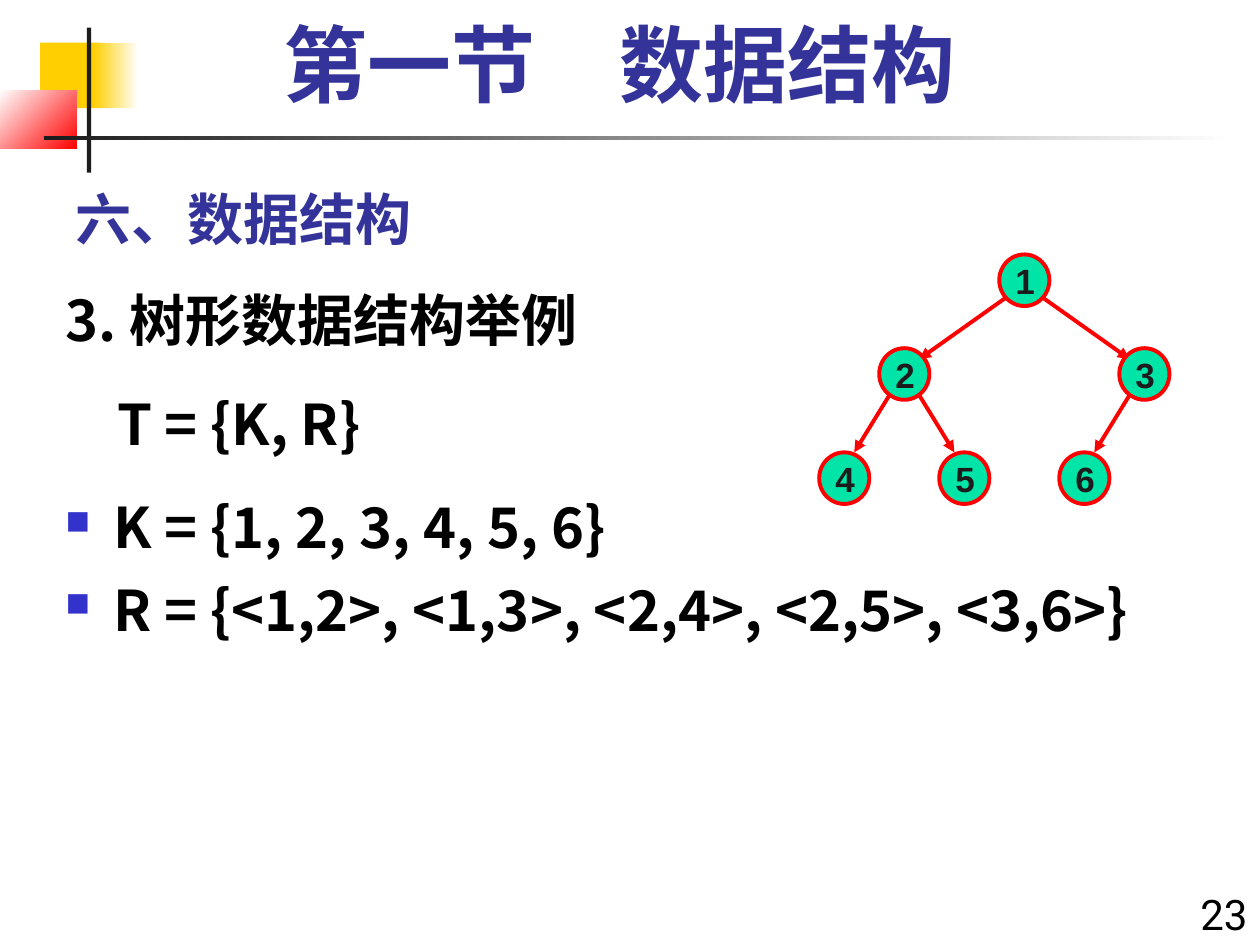
from typing import NamedTuple, Optional

from pptx import Presentation
from pptx.dml.color import RGBColor
from pptx.enum.shapes import MSO_CONNECTOR as Link, MSO_SHAPE as Shape
from pptx.enum.text import MSO_ANCHOR as Anchor, PP_ALIGN as Align
from pptx.oxml.ns import qn
from pptx.oxml.xmlchemy import OxmlElement as Element
from pptx.util import Cm, Pt

GOLD = RGBColor(0xFF, 0xCF, 0x01)
WHITE = RGBColor(0xFF, 0xFF, 0xFF)
RED = RGBColor(0xFF, 0x00, 0x00)
DARK = RGBColor(0x1C, 0x1C, 0x1C)
BLACK = RGBColor(0x00, 0x00, 0x00)
NAVY = RGBColor(0x33, 0x33, 0x99)
BLUE = RGBColor(0x33, 0x33, 0xCC)
GREEN = RGBColor(0x00, 0xE4, 0xA8)
HAN = "Noto Sans CJK SC"


class Bar(NamedTuple):
    left: float
    top: float
    width: float
    height: float
    start: RGBColor
    end: Optional[RGBColor] = None
    angle: int = 0


class Style(NamedTuple):
    font: str
    size: int
    color: RGBColor
    bold: bool = True


class Line(NamedTuple):
    text: str
    before: float = 0
    after: float = 0
    left: float = 0.97
    first: float = -0.97
    bullet: bool = False


class Node(NamedTuple):
    col: int
    row: int


class Reach(NamedTuple):
    """Offsets of an edge's ends from the two node centres."""
    out_x: float
    out_y: float
    in_x: float
    in_y: float


BARS = [
    Bar(0.81, 0.86, 1.22, 1.32, GOLD),
    Bar(1.88, 0.86, 0.91, 1.32, GOLD, WHITE),
    Bar(0, 1.83, 1.55, 1.17, WHITE, RED, 315),
    Bar(1.75, 0.56, 0.09, 2.92, DARK),
    Bar(0.89, 2.74, 24, 0.09, DARK, WHITE),
]
LINES = [
    Line("3. 树形数据结构举例"),
    Line("T = {K, R}", before=21, after=12, left=1.04, first=0),
    Line("K = {1, 2, 3, 4, 5, 6}", before=8.5, bullet=True),
    Line("R = {<1,2>, <1,3>, <2,4>, <2,5>, <3,6>}", before=8.5, bullet=True),
]

# Tree: nodes on a grid of equal columns, edges by node number
NODES = {1: Node(3, 0), 2: Node(1, 1), 3: Node(5, 1),
         4: Node(0, 2), 5: Node(2, 2), 6: Node(4, 2)}
EDGES = [(1, 3), (1, 2), (2, 5), (3, 6), (2, 4)]
REACH = [Reach(0.3, 0.3, 0.3, 0.3), Reach(0.1, 0.1, 0.2, 0.52)]
LEFT, STEP = 17.02, 1.21
ROWS = [5.65, 7.54, 9.64]
WIDE, HIGH = 1.01, 1.04


def spot(node: Node) -> tuple[float, float]:
    return LEFT + STEP * node.col, ROWS[node.row]


def draw_bar(shapes, bar: Bar) -> None:
    rect = shapes.add_shape(Shape.RECTANGLE, Cm(bar.left), Cm(bar.top),
                            Cm(bar.width), Cm(bar.height))
    rect.shadow.inherit = False
    rect.line.fill.background()
    if bar.end is None:
        rect.fill.solid()
        rect.fill.fore_color.rgb = bar.start
        return
    rect.fill.gradient()
    rect.fill.gradient_angle = bar.angle
    for stop, color in zip(rect.fill.gradient_stops, (bar.start, bar.end)):
        stop.color.rgb = color


def style_text(para, style: Style) -> None:
    for run in para.runs:
        font = run.font
        font.name, font.size, font.bold = style.font, Pt(style.size), style.bold
        font.color.rgb = style.color
        east = Element("a:ea")
        east.set("typeface", HAN)
        font._element.find(qn("a:latin")).addnext(east)


def add_text(shapes, area: tuple, text: str, style: Style, align=Align.LEFT,
             anchor=Anchor.TOP):
    frame = shapes.add_textbox(*map(Cm, area)).text_frame
    frame.word_wrap = True
    frame.vertical_anchor = anchor
    frame.text = text
    para = frame.paragraphs[0]
    para.alignment = align
    style_text(para, style)
    return frame


def set_line(para, line: Line) -> None:
    para.space_before, para.space_after = Pt(line.before), Pt(line.after)
    props = para._p.get_or_add_pPr()
    props.set("marL", str(Cm(line.left)))
    props.set("indent", str(Cm(line.first)))
    if line.bullet:
        tint = Element("a:buClr")
        color = Element("a:srgbClr")
        color.set("val", str(BLUE))
        tint.append(color)
        size = Element("a:buSzPct")
        size.set("val", "60000")
        mark = Element("a:buChar")
        mark.set("char", "■")
        props.extend([tint, size, mark])


def draw_edge(shapes, parent: Node, child: Node) -> None:
    (px, py), (cx, cy) = spot(parent), spot(child)
    reach = REACH[parent.row]
    side = 1 if cx > px else -1
    ends = (px + side * reach.out_x, py + reach.out_y,
            cx - side * reach.in_x, cy - reach.in_y)
    edge = shapes.add_connector(Link.STRAIGHT, *map(Cm, ends))
    edge.line.color.rgb = RED
    edge.line.width = Pt(2.25)
    tail = Element("a:tailEnd")
    tail.set("type", "triangle")
    edge.line._get_or_add_ln().append(tail)
    edge._element.spPr.append(Element("a:effectLst"))


def draw_node(shapes, node: Node) -> None:
    x, y = spot(node)
    disc = shapes.add_shape(Shape.OVAL, Cm(x - WIDE / 2), Cm(y - HIGH / 2),
                            Cm(WIDE), Cm(HIGH))
    disc.shadow.inherit = False
    disc.fill.solid()
    disc.fill.fore_color.rgb = GREEN
    disc.line.color.rgb = RED
    disc.line.width = Pt(2.25)


def add_label(shapes, name: int, node: Node) -> None:
    x, y = spot(node)
    area = (x - 0.43, y - 0.42, 0.91, 0.84)
    frame = add_text(shapes, area, str(name), Style("Arial", 20, DARK))
    frame.word_wrap = False
    frame.margin_top = frame.margin_bottom = 0


def main() -> None:
    deck = Presentation()
    deck.slide_width, deck.slide_height = Cm(25.4), Cm(19.05)
    shapes = deck.slides.add_slide(deck.slide_layouts[6]).shapes

    # Corner ornament and rule
    for bar in BARS:
        draw_bar(shapes, bar)

    # Headings and page number
    add_text(shapes, (1.27, 3.3, 17.15, 1.91), "六、数据结构",
             Style(HAN, 32, NAVY), anchor=Anchor.BOTTOM)
    add_text(shapes, (23.7, 17.78, 1.7, 1.27), "23",
             Style("Roboto", 24, BLACK, False), Align.RIGHT)
    add_text(shapes, (1.7, -0.08, 21.59, 2.49), "第一节　数据结构",
             Style("Roboto", 48, NAVY), Align.CENTER, Anchor.BOTTOM)

    # Body
    body = add_text(shapes, (1.07, 5.64, 24.33, 10.8),
                    "\n".join(line.text for line in LINES),
                    Style(HAN, 32, BLACK))
    for para, line in zip(body.paragraphs, LINES):
        set_line(para, line)
    for para in body.paragraphs[1:]:
        style_text(para, Style(HAN, 32, BLACK))

    # Tree
    tree = shapes.add_group_shape().shapes
    for parent, child in EDGES:
        draw_edge(tree, NODES[parent], NODES[child])
    for node in NODES.values():
        draw_node(tree, node)
    for name, node in NODES.items():
        add_label(tree, name, node)

    deck.save("out.pptx")


if __name__ == "__main__":
    main()
